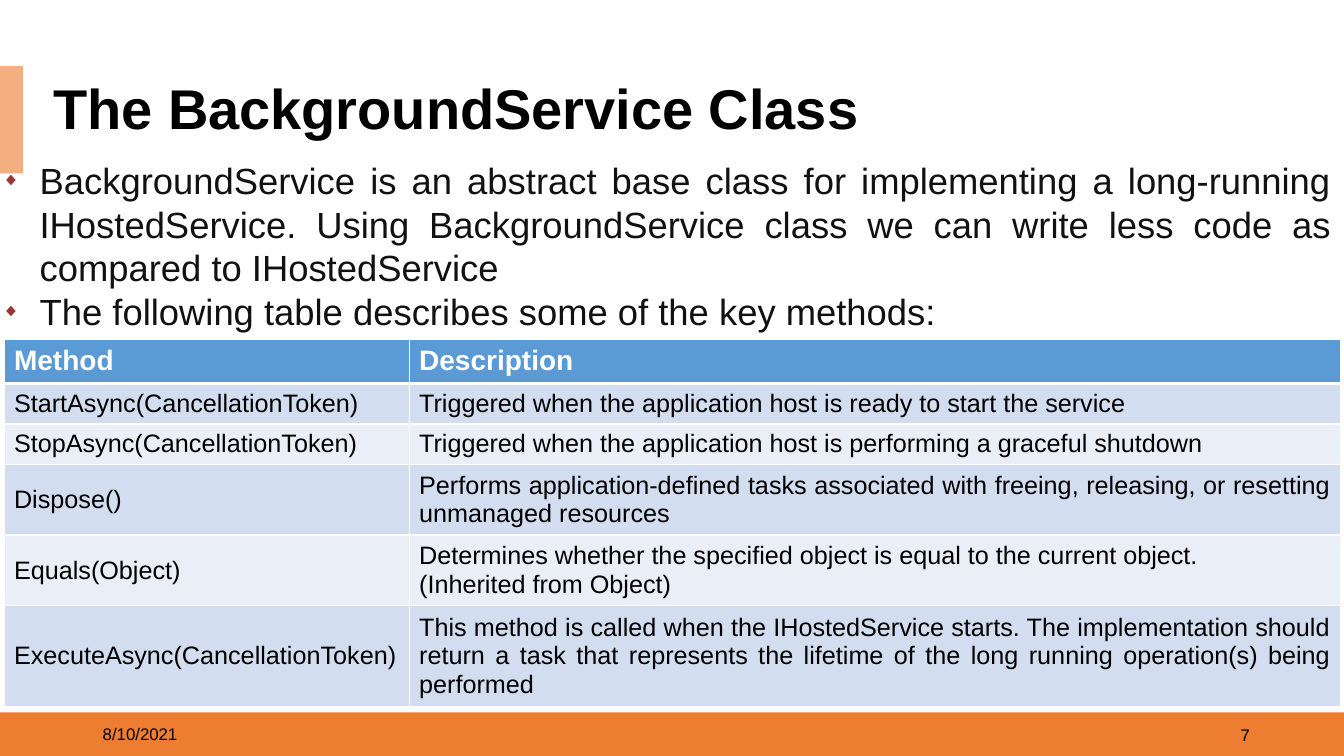
from collections import namedtuple

from lxml import etree
from pptx import Presentation
from pptx.dml.color import RGBColor
from pptx.enum.shapes import MSO_SHAPE
from pptx.enum.text import MSO_ANCHOR, PP_ALIGN
from pptx.oxml.ns import qn
from pptx.util import Cm, Pt

RECTANGLE = MSO_SHAPE.RECTANGLE
TOP, MIDDLE = MSO_ANCHOR.TOP, MSO_ANCHOR.MIDDLE
LEFT, RIGHT, JUSTIFY = PP_ALIGN.LEFT, PP_ALIGN.RIGHT, PP_ALIGN.JUSTIFY
FONT = "Arial"
COLORS = {
    "footer": "ED7D31", "accent": "F4AF80", "white": "FFFFFF", "black": "000000",
    "body": "111111", "bullet": "973735", "header": "5B9BD5",
    "odd": "D2DEEF", "even": "EAEFF7",
}
Box = namedtuple("Box", "left top width height")

BULLETS = [
    "BackgroundService is an abstract base class for implementing a long-running "
    "IHostedService. Using BackgroundService class we can write less code as "
    "compared to IHostedService",
    "The following table describes some of the key methods:",
]
METHODS = [
    ("Method", ["Description"], 1.1),
    ("StartAsync(CancellationToken)",
     ["Triggered when the application host is ready to start the service"], 1.02),
    ("StopAsync(CancellationToken)",
     ["Triggered when the application host is performing a graceful shutdown"], 1.02),
    ("Dispose()",
     ["Performs application-defined tasks associated with freeing, releasing, or "
      "resetting unmanaged resources"], 1.78),
    ("Equals(Object)",
     ["Determines whether the specified object is equal to the current object.",
      "(Inherited from Object)"], 1.78),
    ("ExecuteAsync(CancellationToken)",
     ["This method is called when the IHostedService starts. The implementation "
      "should return a task that represents the lifetime of the long running "
      "operation(s) being performed"], 2.54),
]


def color(name):
    """Return the named colour."""
    return RGBColor.from_string(COLORS[name])


def place(box):
    """Turn a box in centimetres into lengths."""
    return [Cm(length) for length in box]


def add_block(page, box, fill):
    """Add a plain filled rectangle."""
    block = page.shapes.add_shape(RECTANGLE, *place(box))
    block.shadow.inherit = False
    block.fill.solid()
    block.fill.fore_color.rgb = color(fill)
    block.line.fill.background()


def write(frame, lines, size, shade, bold=False, align=LEFT):
    """Write each line as a paragraph and return the paragraphs."""
    frame.word_wrap = True
    for index, line in enumerate(lines):
        para = frame.add_paragraph() if index else frame.paragraphs[0]
        para.alignment = align
        span = para.add_run()
        span.text = line
        span.font.name = FONT
        span.font.size = Pt(size)
        span.font.bold = bold
        span.font.color.rgb = color(shade)
    return frame.paragraphs


def add_text(page, box, anchor, lines, size, shade, **style):
    """Add a text box and return its paragraphs."""
    frame = page.shapes.add_textbox(*place(box)).text_frame
    frame.vertical_anchor = anchor
    return write(frame, lines, size, shade, **style)


def add_footer(page, box):
    """Draw the footer bar with date and slide number."""
    add_block(page, box, "footer")
    date = Box(box.left + 2.34, box.top + 0.02, 7.62, 1.02)
    number = Box(box.left + 24.13, box.top + 0.05, 7.62, 1.02)
    add_text(page, date, MIDDLE, ["8/10/2021"], 12, "black")
    add_text(page, number, MIDDLE, ["7"], 12, "black", align=RIGHT)


def add_heading(page, box):
    """Draw the side accent and the title."""
    add_block(page, Box(box.left, box.top, 0.58, box.height), "accent")
    title = Box(box.left + 1.09, box.top + 0.33, box.width - 2.88, 1.6)
    paras = add_text(page, title, MIDDLE, ["The BackgroundService Class"],
                     40, "black", bold=True)
    paras[0].line_spacing = 0.9


def add_bullets(page, box):
    """Add the justified introduction with diamond bullets."""
    for para in add_text(page, box, TOP, BULLETS, 26, "body", align=JUSTIFY):
        properties = para._p.get_or_add_pPr()
        properties.set("marL", str(Cm(0.95)))
        properties.set("indent", str(-Cm(0.95)))
        tint = etree.SubElement(properties, qn("a:buClr"))
        etree.SubElement(tint, qn("a:srgbClr"), val=COLORS["bullet"])
        etree.SubElement(properties, qn("a:buSzPct"), val="50000")
        etree.SubElement(properties, qn("a:buFont"), typeface=FONT)
        etree.SubElement(properties, qn("a:buChar"), char="◆")


def set_borders(cell, bottom):
    """Give a cell white borders with the given bottom and 1 pt elsewhere."""
    properties = cell._tc.get_or_add_tcPr()
    sides = [("a:lnL", 1), ("a:lnR", 1), ("a:lnT", 1), ("a:lnB", bottom)]
    for index, (side, width) in enumerate(sides):
        line = etree.Element(qn(side), w=str(Pt(width)))
        fill = etree.SubElement(line, qn("a:solidFill"))
        etree.SubElement(fill, qn("a:srgbClr"), val=COLORS["white"])
        properties.insert(index, line)


def add_methods(page, box):
    """Add the table of key methods."""
    table = page.shapes.add_table(len(METHODS), 2, *place(box)).table
    table.columns[0].width = Cm(10.21)
    table.columns[1].width = Cm(box.width - 10.21)
    for index, (method, description, height) in enumerate(METHODS):
        header = index == 0
        table.rows[index].height = Cm(height)
        fill = "header" if header else "odd" if index % 2 else "even"
        for column, lines in enumerate([[method], description]):
            cell = table.cell(index, column)
            cell.fill.solid()
            cell.fill.fore_color.rgb = color(fill)
            cell.vertical_anchor = TOP if header else MIDDLE
            write(cell.text_frame, lines, 20 if header else 18,
                  "white" if header else "black", bold=header,
                  align=JUSTIFY if column and not header else LEFT)
            set_borders(cell, 3 if index == 0 else 1)
            if index == 1:
                cell._tc.tcPr.find(qn("a:lnT")).set("w", str(Pt(3)))


def main():
    """Build and save the slide."""
    deck = Presentation()
    deck.slide_width, deck.slide_height = Cm(33.87), Cm(19.05)
    page = deck.slides.add_slide(deck.slide_layouts[6])
    add_footer(page, Box(0, 17.95, 33.87, 1.1))
    add_heading(page, Box(0, 1.67, 33.87, 2.7))
    add_bullets(page, Box(-0.2, 3.86, 34.04, 6.02))
    add_methods(page, Box(0.1, 8.56, 33.68, 9.24))
    deck.save("out.pptx")


if __name__ == "__main__":
    main()
